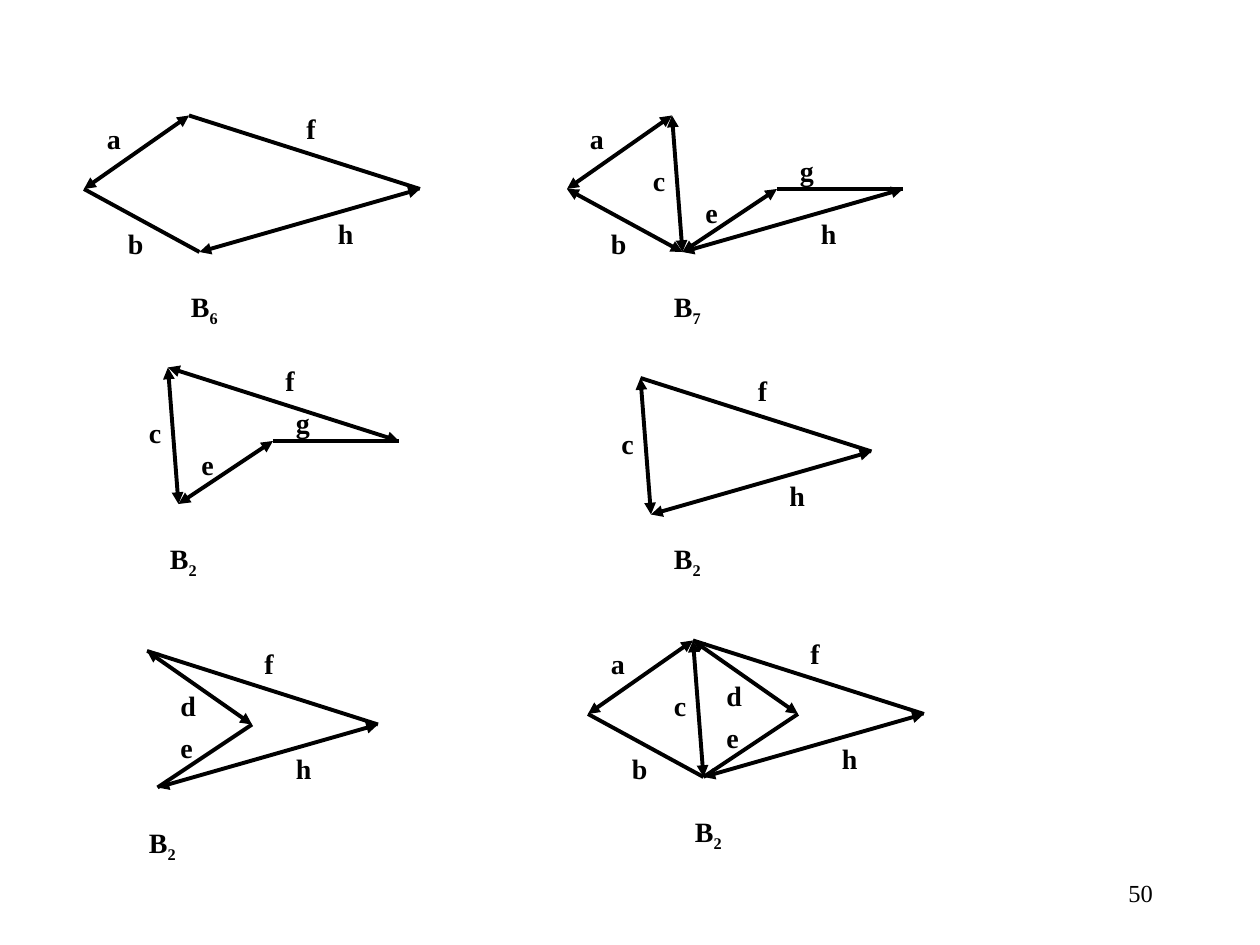
from dataclasses import dataclass

import pptx
import pptx.dml.color
import pptx.enum.shapes
import pptx.enum.text
import pptx.oxml.ns
import pptx.util
from lxml import etree

PX = 9525  # EMU per px, 96 px to the inch
ANCHOR = pptx.enum.text.MSO_ANCHOR
ALIGN = pptx.enum.text.PP_ALIGN
AUTO = pptx.enum.text.MSO_AUTO_SIZE


@dataclass(frozen=True)
class Theme:
    ink: pptx.dml.color.RGBColor = pptx.dml.color.RGBColor(0, 0, 0)
    font: str = "Times New Roman"
    label: int = 16
    page: int = 14
    line: float = 2.25


@dataclass(frozen=True)
class Edge:
    start: tuple[int, int]
    end: tuple[int, int]
    label: tuple[int, int]


@dataclass(frozen=True)
class Diagram:
    apex: tuple[int, int]
    plain: str  # edges without arrowheads
    arrows: str  # edges with an arrowhead at each end
    index: str
    caption: tuple[int, int] = (-8, 128)


THEME = Theme()

# Vertices and labels, measured from the top vertex of a diagram
TOP, LEFT, BOTTOM, MIDDLE, RIGHT = (0, 0), (-80, 56), (8, 104), (80, 56), (176, 56)
EDGES = {
    "a": Edge(TOP, LEFT, (-72, 0)),
    "b": Edge(LEFT, BOTTOM, (-56, 80)),
    "c": Edge(TOP, BOTTOM, (-24, 32)),
    "d": Edge(TOP, MIDDLE, (16, 24)),
    "e": Edge(MIDDLE, BOTTOM, (16, 56)),
    "f": Edge(TOP, RIGHT, (80, -8)),
    "g": Edge(MIDDLE, RIGHT, (88, 24)),
    "h": Edge(RIGHT, BOTTOM, (104, 72)),
}
DIAGRAMS = [
    Diagram((144, 88), "bf", "ah", "6"),
    Diagram((528, 488), "bef", "acdh", "2"),
    Diagram((128, 280), "g", "cef", "2"),
    Diagram((512, 88), "g", "abceh", "7"),
    Diagram((488, 288), "f", "ch", "2", caption=(16, 120)),
    Diagram((112, 496), "ef", "dh", "2"),
]


def shift(origin: tuple[int, int], offset: tuple[int, int]) -> tuple[int, int]:
    return origin[0] + offset[0], origin[1] + offset[1]


def add_text(shapes, at: tuple[int, int], size: tuple[int, int], text: str,
             subscript: str = "", pt: int = THEME.label, bold: bool = True,
             align=ALIGN.LEFT, anchor=ANCHOR.TOP, auto=AUTO.SHAPE_TO_FIT_TEXT) -> None:
    sp = shapes.add_textbox(*(v * PX for v in at + size))
    tf = sp.text_frame
    for name, value in {"word_wrap": True, "auto_size": auto,
                        "vertical_anchor": anchor}.items():
        setattr(tf, name, value)
    p = tf.paragraphs[0]
    p.alignment = align
    for part in filter(None, (text, subscript)):
        r = p.add_run()
        r.text = part
        for name, value in {"name": THEME.font, "size": pptx.util.Pt(pt),
                            "bold": bold}.items():
            setattr(r.font, name, value)
        r.font.color.rgb = THEME.ink
    if subscript:
        r.font._element.set("baseline", "-25000")


def add_edge(shapes, start: tuple[int, int], end: tuple[int, int], arrows: bool) -> None:
    line = shapes.add_connector(pptx.enum.shapes.MSO_CONNECTOR.STRAIGHT,
                                *(v * PX for v in start + end))
    line.line.color.rgb = THEME.ink
    line.line.width = pptx.util.Pt(THEME.line)
    qn = pptx.oxml.ns.qn
    if arrows:
        ln = line.line._get_or_add_ln()
        for tag in ("a:headEnd", "a:tailEnd"):
            etree.SubElement(ln, qn(tag), type="triangle")
    etree.SubElement(line._element.spPr, qn("a:effectLst"))


def add_diagram(s, diagram: Diagram) -> None:
    shapes = s.shapes.add_group_shape().shapes
    names = sorted(diagram.plain + diagram.arrows)
    for name in names:
        edge = EDGES[name]
        add_edge(shapes, shift(diagram.apex, edge.start), shift(diagram.apex, edge.end),
                 name in diagram.arrows)
    add_text(shapes, shift(diagram.apex, diagram.caption), (72, 39), "B", diagram.index)
    for name in names:
        add_text(shapes, shift(diagram.apex, EDGES[name].label), (41, 35), name)


def main() -> None:
    prs = pptx.Presentation()
    prs.slide_width, prs.slide_height = 960 * PX, 720 * PX
    s = prs.slides.add_slide(prs.slide_layouts[6])

    # Page number
    add_text(s.shapes, (688, 656), (200, 48), "50", pt=THEME.page, bold=False,
             align=ALIGN.RIGHT, anchor=ANCHOR.MIDDLE, auto=AUTO.NONE)

    # Six diagrams
    for diagram in DIAGRAMS:
        add_diagram(s, diagram)

    prs.save("out.pptx")


if __name__ == "__main__":
    main()
